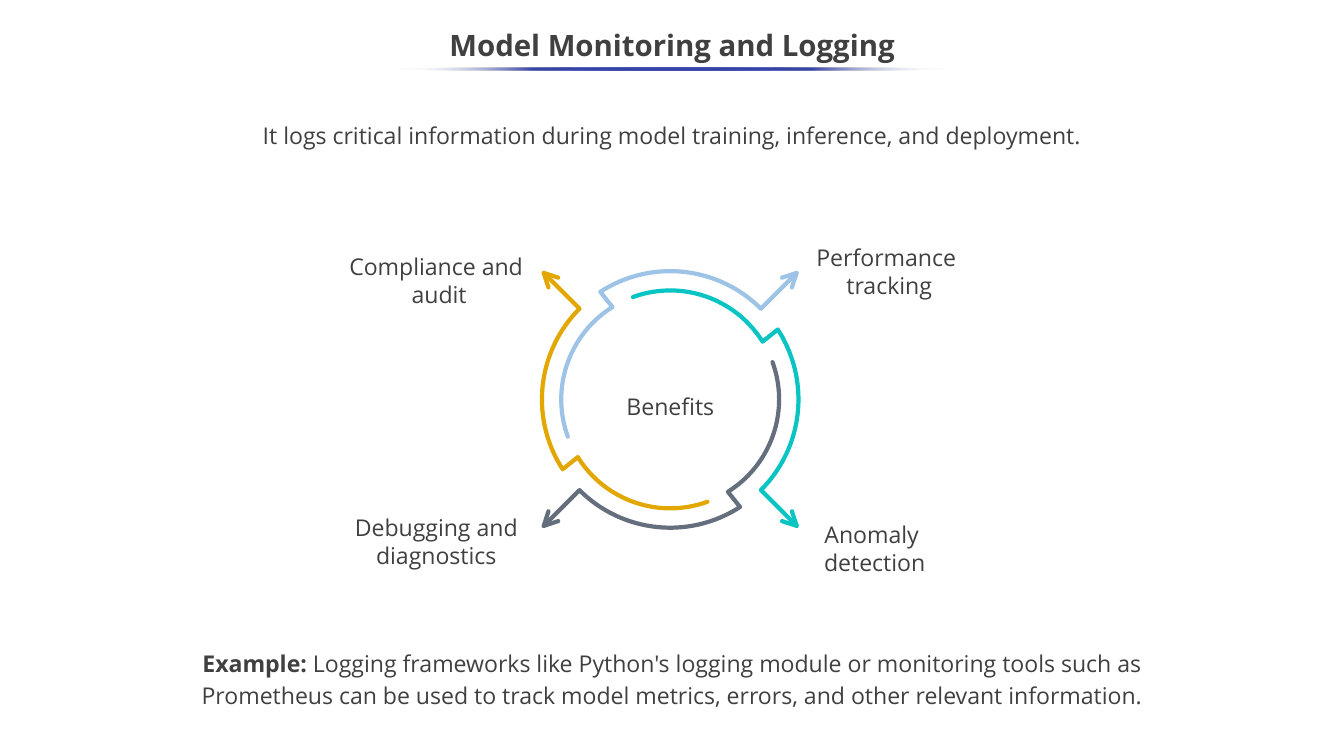
from math import cos, radians, sin
from lxml import etree
from pptx import Presentation
from pptx.dml.color import RGBColor
from pptx.enum.shapes import MSO_SHAPE
from pptx.enum.text import MSO_ANCHOR, PP_ALIGN
from pptx.oxml.ns import qn
from pptx.util import Cm, Pt

OVAL = MSO_SHAPE.OVAL
MID = MSO_ANCHOR.MIDDLE
LEFT, CENTER = PP_ALIGN.LEFT, PP_ALIGN.CENTER
FONT = "Open Sans"
COLORS = {
    "text": "404040", "rule": "3645A9", "fade": "FFFFFF",
    "blue": "9DC3E6", "teal": "08C4C2", "slate": "656E7D", "gold": "E2A700",
}

deck = Presentation()
deck.slide_width, deck.slide_height = Cm(45.16), Cm(25.4)
slide = deck.slides.add_slide(deck.slide_layouts[6])


def add_text(box, lines, size=22, bold=False, space=1.0, align=CENTER):
    item = slide.shapes.add_textbox(*[Cm(v) for v in box])
    frame = item.text_frame
    frame.word_wrap = True
    frame.text = "\n".join(lines)
    for para in frame.paragraphs:
        para.alignment = align
        para.line_spacing = space
        for run in para.runs:
            run.font.name = FONT
            run.font.size = Pt(size)
            run.font.bold = bold
            run.font.color.rgb = RGBColor.from_string(COLORS["text"])
    return frame


def add_path(points, color):
    spots = [(Cm(x), Cm(y)) for x, y in points]
    pen = slide.shapes.build_freeform(*spots[0])
    pen.add_line_segments(spots[1:], close=False)
    item = pen.convert_to_shape()
    item.shadow.inherit = False
    item.fill.background()
    item.line.width = Pt(4)
    item.line.color.rgb = RGBColor.from_string(color)
    edge = item.line._get_or_add_ln()
    edge.set("cap", "rnd")
    etree.SubElement(edge, qn("a:round"))


title = add_text((0, 0.64, 45.16, 1.9), ["Model Monitoring and Logging"], 28, True, 0.9)
title.vertical_anchor = MID

rule = slide.shapes.add_shape(OVAL, Cm(13.23), Cm(2.26), Cm(18.72), Cm(0.1))
rule.shadow.inherit = False
rule.line.fill.background()
rule.fill.gradient()
rule.fill.gradient_angle = 0
stops = rule._element.spPr.find(qn("a:gradFill")).find(qn("a:gsLst"))
for stop in list(stops):
    stops.remove(stop)
for place in (0, 25, 50, 75, 100):
    edge = place in (0, 100)
    stop = etree.SubElement(stops, qn("a:gs"), pos=str(place * 1000))
    tone = etree.SubElement(stop, qn("a:srgbClr"), val=COLORS["fade" if edge else "rule"])
    if edge:
        etree.SubElement(tone, qn("a:alpha"), val="0")

add_text((8.48, 3.81, 28.19, 1.27),
         ["It logs critical information during model training, inference, and deployment."],
         space=1.15)

mid_x, mid_y = 22.52, 13.42
outer, inner = 4.31, 3.66
arc = [(outer * cos(radians(a)), outer * sin(radians(a))) for a in range(-45, -125, -2)]
arc += [(inner * cos(radians(a)), inner * sin(radians(a))) for a in range(-122, -201, -2)]
tip = (4.25, -4.25)
body = [tip] + arc
head = [(4.09, -3.76), tip, (3.76, -4.09)]

for step, name in enumerate(("blue", "teal", "slate", "gold")):
    turn = radians(90 * step)
    for part in (body, head):
        add_path([(mid_x + x * cos(turn) - y * sin(turn),
                   mid_y + x * sin(turn) + y * cos(turn)) for x, y in part], COLORS[name])

labels = [
    ((25.45, 8.05, 8.86, 2.13), ["Performance ", "tracking"]),
    ((25.25, 17.37, 8.08, 2.13), ["Anomaly", " detection"]),
    ((11.23, 17.12, 6.86, 2.13), ["Debugging and diagnostics"]),
    ((10.21, 8.36, 9.09, 2.13), ["Compliance and ", "audit"]),
]
for box, lines in labels:
    add_text(box, lines)
add_text((20.8, 12.93, 3.51, 1.27), ["Benefits"], space=1.15, align=LEFT)

note = add_text((5.03, 21.56, 35.1, 2.36), ["Example: "], bold=True, space=1.15)
rest = note.paragraphs[0].add_run()
rest.text = ("Logging frameworks like Python's logging module or monitoring tools such as "
             "Prometheus can be used to track model metrics, errors, and other relevant information.")
rest.font.name = FONT
rest.font.size = Pt(22)
rest.font.color.rgb = RGBColor.from_string(COLORS["text"])

deck.save("out.pptx")
